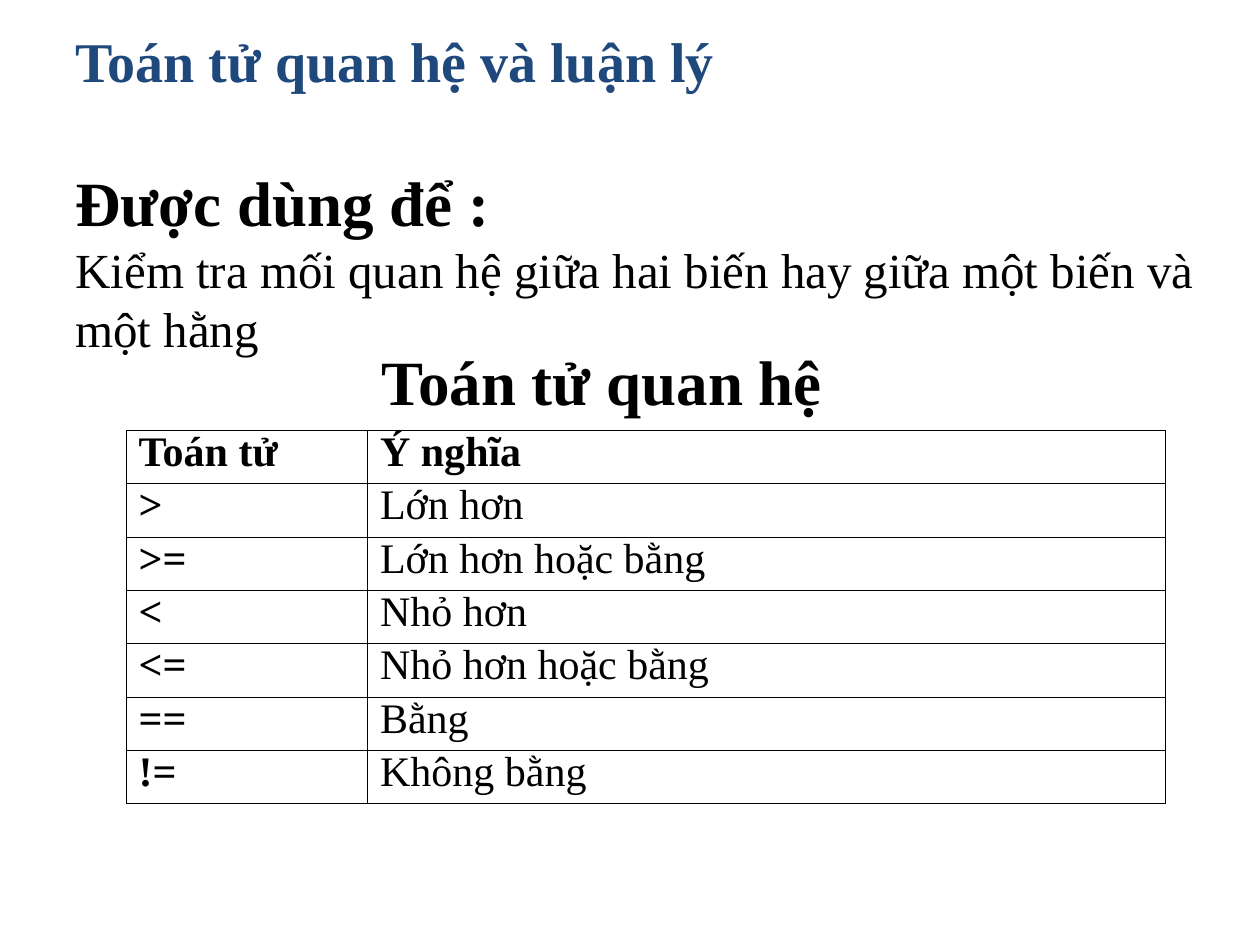
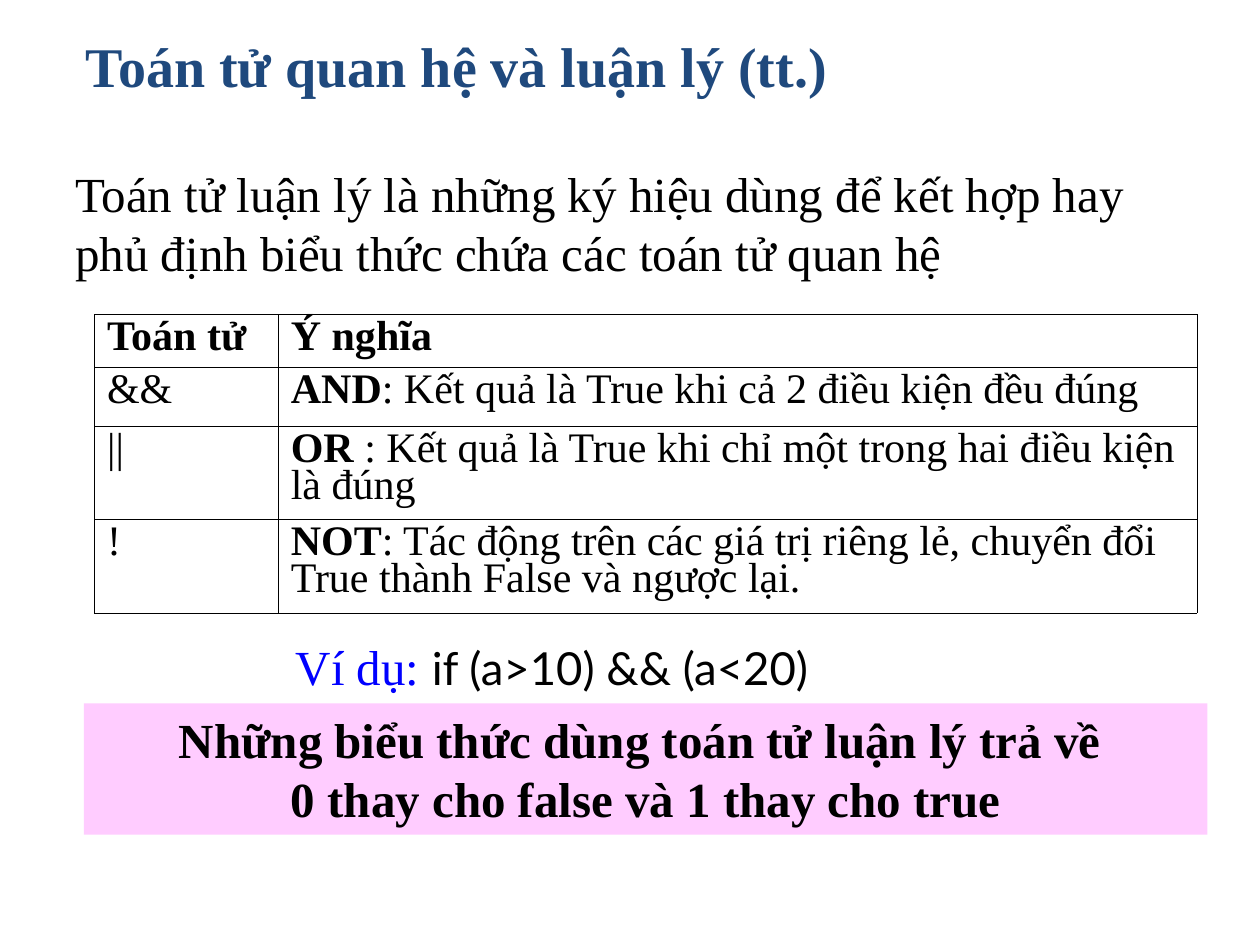
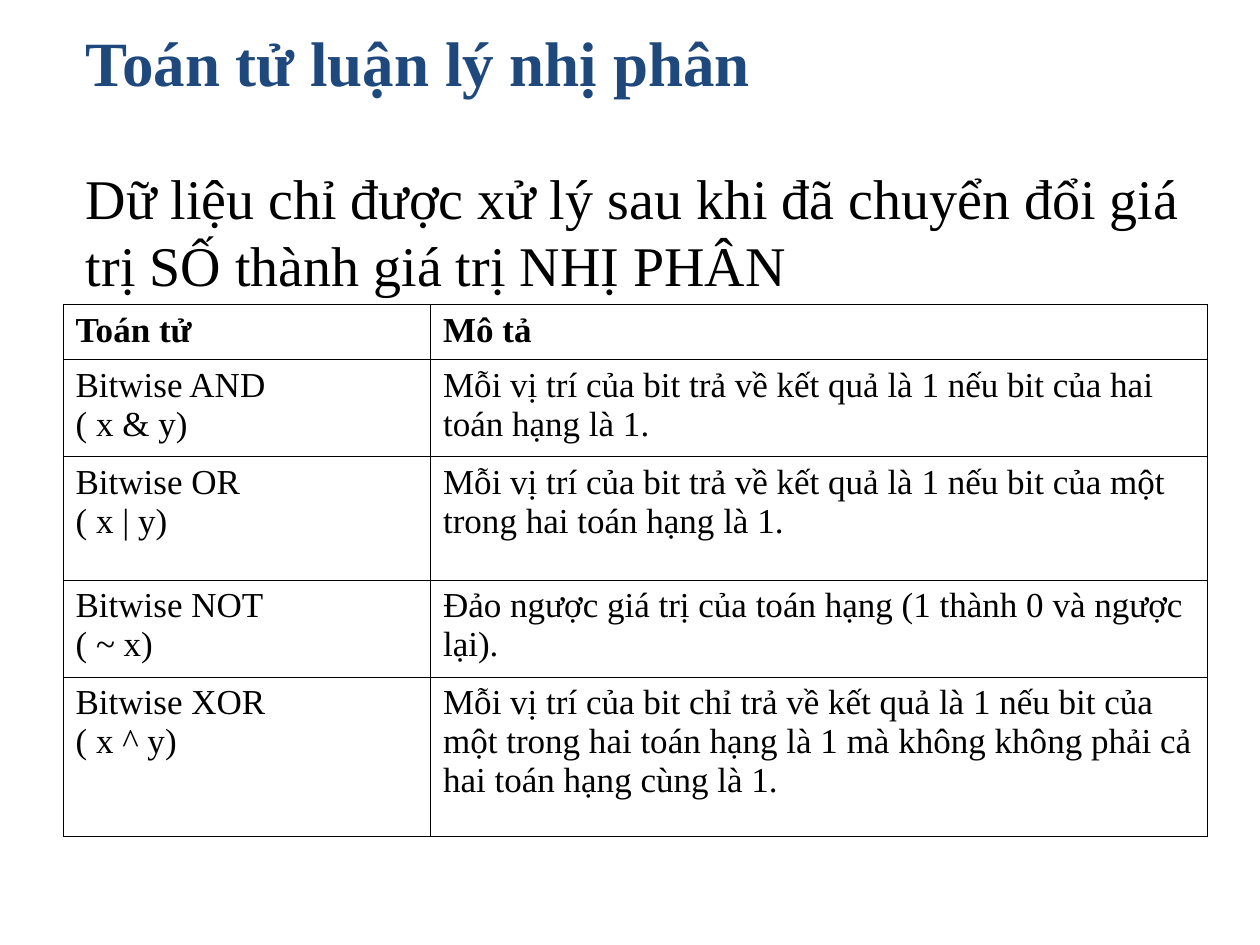
from typing import NamedTuple

from lxml import etree
from pptx import Presentation
from pptx.dml.color import RGBColor
from pptx.enum.shapes import MSO_SHAPE
from pptx.enum.text import MSO_ANCHOR, MSO_AUTO_SIZE, PP_ALIGN
from pptx.oxml.ns import qn
from pptx.util import Inches, Pt

RECTANGLE = MSO_SHAPE.RECTANGLE
TOP, BOTTOM = MSO_ANCHOR.TOP, MSO_ANCHOR.BOTTOM
GROW = MSO_AUTO_SIZE.SHAPE_TO_FIT_TEXT
LEFT, CENTER, JUSTIFY = PP_ALIGN.LEFT, PP_ALIGN.CENTER, PP_ALIGN.JUSTIFY

# Slide grid: 120 columns by 90 rows of square units
SLIDE_W, SLIDE_H = Inches(10), Inches(7.5)
UNIT = SLIDE_W // 120

SERIF, SANS = "Times New Roman", "Lato"
BLACK, NAVY, BLUE, PINK = "000000", "1F497D", "0000FF", "FFCCFF"
BORDER_WIDTH = Pt(0.45)


class Box(NamedTuple):
    """Place on the grid, in units."""
    column: float
    row: float
    width: float
    height: float


class Cell(NamedTuple):
    """Table text: a bold lead followed by plain text."""
    bold: str = ""
    plain: str = ""


class Grid(NamedTuple):
    """Table with its place, tracks and text format."""
    column: float
    row: float
    widths: list[float]
    heights: list[float]
    cells: list[tuple[Cell, Cell]]
    size: float
    spacing: float = 1.0
    header_align: PP_ALIGN = LEFT


def units(count: float) -> int:
    return round(count * UNIT)


def color(value: str) -> RGBColor:
    return RGBColor.from_string(value)


def write(frame, text: str, *, size: float, bold: bool = False,
          ink: str = BLACK, font: str = SERIF, align: PP_ALIGN = LEFT,
          spacing: float = 1.0) -> None:
    """Continue the last paragraph; \\n starts a paragraph, \\v a line."""
    for index, line in enumerate(text.split("\n")):
        paragraph = frame.add_paragraph() if index else frame.paragraphs[-1]
        paragraph.alignment = align
        paragraph.line_spacing = spacing
        for part, piece in enumerate(line.split("\v")):
            if part:
                paragraph.add_line_break()
            run = paragraph.add_run()
            run.text = piece
            run.font.size = Pt(size)
            run.font.bold = bold
            run.font.name = font
            run.font.color.rgb = color(ink)


def add_box(slide, box: Box, anchor: MSO_ANCHOR = TOP, wrap: bool = True,
            fill: str = ""):
    """Add a text area, on a filled band if a fill is given."""
    place = [units(value) for value in box]
    if fill:
        shape = slide.shapes.add_shape(RECTANGLE, *place)
        shape.shadow.inherit = False
        shape.fill.solid()
        shape.fill.fore_color.rgb = color(fill)
        shape.line.fill.background()
    else:
        shape = slide.shapes.add_textbox(*place)
    frame = shape.text_frame
    frame.word_wrap = wrap
    frame.vertical_anchor = anchor
    if anchor == TOP:
        frame.auto_size = GROW
    return frame


def add_title(slide, text: str, box: Box, size: float = 32) -> None:
    write(add_box(slide, box, BOTTOM), text, size=size, bold=True, ink=NAVY)


def set_borders(cell) -> None:
    properties = cell._tc.get_or_add_tcPr()
    for position, side in enumerate(("lnL", "lnR", "lnT", "lnB")):
        line = etree.Element(qn(f"a:{side}"), w=str(BORDER_WIDTH))
        fill = etree.SubElement(line, qn("a:solidFill"))
        etree.SubElement(fill, qn("a:srgbClr"), val=BLACK)
        properties.insert(position, line)


def add_grid(slide, grid: Grid) -> None:
    table = slide.shapes.add_table(
        len(grid.heights), len(grid.widths), units(grid.column), units(grid.row),
        units(sum(grid.widths)), units(sum(grid.heights))).table
    table.first_row = table.horz_banding = False
    for column, width in zip(table.columns, grid.widths):
        column.width = units(width)
    for row, height, contents in zip(table.rows, grid.heights, grid.cells):
        row.height = units(height)
        align = grid.header_align if contents is grid.cells[0] else LEFT
        for cell, content in zip(row.cells, contents):
            cell.fill.background()
            set_borders(cell)
            for text, bold in ((content.bold, True), (content.plain, False)):
                if text:
                    write(cell.text_frame, text, size=grid.size, bold=bold,
                          align=align, spacing=grid.spacing)


# Table contents
RELATIONAL = Grid(
    12, 41, [23, 76], [5.08] * 7,
    [(Cell("Toán tử"), Cell("Ý nghĩa"))]
    + [(Cell(operator), Cell(plain=meaning)) for operator, meaning in (
        (">", "Lớn hơn"),
        (">=", "Lớn hơn hoặc bằng"),
        ("<", "Nhỏ hơn"),
        ("<=", "Nhỏ hơn hoặc bằng"),
        ("==", "Bằng"),
        ("!=", "Không bằng"),
    )],
    size=24, spacing=0.8)

LOGICAL = Grid(
    9, 29.94, [17.5, 87.5], [5, 5.64, 8.88, 8.88],
    [(Cell("Toán tử"), Cell("Ý nghĩa"))]
    + [(Cell(plain=operator), Cell(name, meaning)) for operator, name, meaning in (
        ("&&", "AND", ": Kết quả là True khi cả 2 điều kiện đều đúng"),
        ("||", "OR", " : Kết quả là True khi chỉ một trong hai điều kiện là đúng"),
        ("!", "NOT", ": Tác động trên các giá trị riêng lẻ, chuyển đổi "
                     "True thành False và ngược lại."),
    )],
    size=24, spacing=0.8, header_align=JUSTIFY)

BITWISE = Grid(
    6, 29, [35, 74], [5.25, 9.24, 11.75, 9.24, 15.14],
    [(Cell("Toán tử"), Cell("Mô tả"))]
    + [(Cell(plain=f"Bitwise {name}\n( {usage})"), Cell(plain=meaning))
       for name, usage, meaning in (
        ("AND", "x & y", "Mỗi vị trí của bit trả về kết quả là 1 nếu bit của "
                         "hai toán hạng là 1."),
        ("OR", "x | y", "Mỗi vị trí của bit trả về kết quả là 1 nếu bit của "
                        "một trong hai toán hạng là 1."),
        ("NOT", "~ x", "Ðảo ngược giá trị của toán hạng (1 thành 0 và ngược lại)."),
        ("XOR", "x ^ y", "Mỗi vị trí của bit chỉ trả về kết quả là 1 nếu bit của "
                         "một trong hai toán hạng là 1 mà không không phải cả "
                         "hai toán hạng cùng là 1."),
    )],
    size=20)


def build_relational(slide) -> None:
    add_title(slide, "Toán tử quan hệ và luận lý", Box(6, -1, 98, 10.5))
    purpose = add_box(slide, Box(6, 15, 110, 19.7))
    write(purpose, "Ðược dùng để :", size=36, bold=True)
    purpose.add_paragraph()
    write(purpose, "Kiểm tra mối quan hệ giữa hai biến hay giữa một biến và "
                   "một hằng", size=28)
    caption = add_box(slide, Box(35.2, 32, 44.9, 8.4), wrap=False)
    write(caption, "Toán tử quan hệ", size=36, bold=True)
    add_grid(slide, RELATIONAL)


def build_logical(slide) -> None:
    definition = add_box(slide, Box(6, 15, 109, 12.5))
    write(definition, "Toán tử luận lý là những ký hiệu dùng để kết hợp hay "
                      "phủ định biểu thức chứa các toán tử quan hệ", size=28)
    add_title(slide, "Toán tử quan hệ và luận lý (tt.)", Box(7, 0, 101.6, 10))
    result = add_box(slide, Box(8, 67, 107, 12.5), fill=PINK)
    write(result, "Những biểu thức dùng toán tử luận lý trả về \v"
                  "0 thay cho false và 1 thay cho true",
          size=28, bold=True, align=CENTER)
    example = add_box(slide, Box(27, 60, 61, 6.84))
    write(example, "Ví dụ: ", size=28, ink=BLUE)
    write(example, "if (a>10) && (a<20)", size=26, font=SANS)
    add_grid(slide, LOGICAL)


def build_bitwise(slide) -> None:
    add_title(slide, "Toán tử luận lý nhị phân", Box(7, -1, 99, 11), size=36)
    note = add_box(slide, Box(7, 15, 107, 14))
    write(note, "Dữ liệu chỉ được xử lý sau khi đã chuyển đổi giá trị SỐ "
                "thành giá trị NHỊ PHÂN", size=32)
    add_grid(slide, BITWISE)


def main() -> None:
    deck = Presentation()
    deck.slide_width, deck.slide_height = SLIDE_W, SLIDE_H
    blank = deck.slide_layouts[6]
    for build in (build_relational, build_logical, build_bitwise):
        build(deck.slides.add_slide(blank))
    deck.save("out.pptx")


if __name__ == "__main__":
    main()
